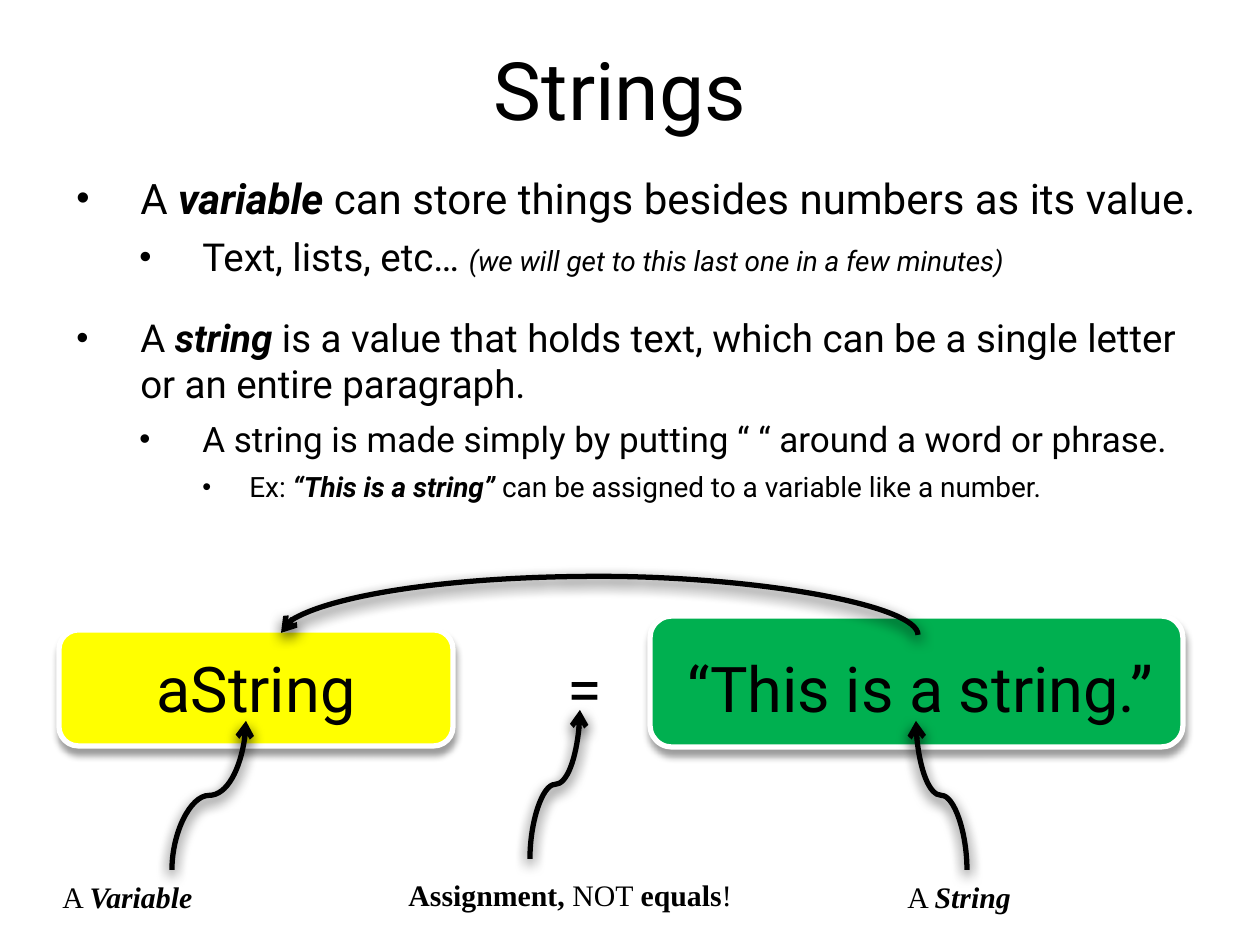
from lxml import etree
from pptx import Presentation
from pptx import util as u
from pptx.dml.color import RGBColor
from pptx.enum import shapes, text
from pptx.oxml.ns import qn

PX = 914400 / 126
COLORS = {"black": "000000", "white": "FFFFFF", "yellow": "FFFF00", "green": "00B050"}
SANS, SERIF = "Roboto", "Times New Roman"

# Each run is (text, size, style), with b for bold and i for italic.
TITLE = [("Strings ", 46, "")]
BULLETS = [  # level, runs
    (0, [("A ", 24, ""), ("variable ", 24, "bi"),
         ("can store things besides numbers as its value.", 24, "")]),
    (1, [("Text, lists, etc… ", 22, ""),
         ("(we will get to this last one in a few minutes)", 16, "i")]),
    (0, [("A ", 22, ""), ("string", 22, "bi"),
         (" is a value that holds text, which can be a single letter "
          "or an entire paragraph.", 22, "")]),
    (1, [("A string is made simply by putting “ “ around a word or phrase.", 20, "")]),
    (2, [("Ex: ", 16, ""), ("“This is a string” ", 16, "bi"),
         ("can be assigned to a variable like a number.", 16, "")]),
]
LEVELS = [(64, 64, 20), (126, 63, 6), (173, 47, 6)]  # margin px, hanging px, space before pt
BOXES = [((59, 630, 394, 116), "yellow"), ((650, 616, 533, 131), "green")]
EXPRESSION = [((455, 643, 260, 89), "="), ((59, 643, 394, 89), "aString"),
              ((675, 643, 491, 89), "“This is a string.”")]
LABELS = [  # the middle one is wide enough to stay on one line
    ((396, 871, 400, 49), [("Assignment,", 17, "b"), (" NOT ", 17, ""),
                           ("equals", 17, "b"), ("!", 17, "")]),
    ((50, 873, 343, 49), [("A ", 17, ""), ("Variable", 17, "bi")]),
    ((895, 873, 343, 49), [("A ", 17, ""), ("String", 17, "bi")]),
]
ARROWS = [  # start, end, bend as a share of the rise
    ((530, 859), (580, 710), 0.5),
    ((918, 635), (281, 633), 29.5),
    ((967, 870), (916, 721), 0.5),
    ((172, 870), (246, 721), 0.5),
]


def px(value):
    return u.Emu(round(value * PX))


def color(name):
    return RGBColor.from_string(COLORS[name])


def add_shadow(shape, alpha, blur, distance, angle):
    """Blur and distance are in points, alpha in percent, angle in degrees."""
    properties = shape._element.spPr
    for old in properties.findall(qn("a:effectLst")):
        properties.remove(old)
    effects = etree.SubElement(properties, qn("a:effectLst"))
    shadow = etree.SubElement(effects, qn("a:outerShdw"), blurRad=str(u.Pt(blur)),
                              dist=str(u.Pt(distance)), dir=str(angle * 60000),
                              algn="tl", rotWithShape="0")
    tone = etree.SubElement(shadow, qn("a:srgbClr"), val=COLORS["black"])
    etree.SubElement(tone, qn("a:alpha"), val=str(alpha * 1000))


def write(para, runs, font):
    for words, size, style in runs:
        span = para.add_run()
        span.text = words
        span.font.name = font
        span.font.size = u.Pt(size)
        span.font.bold = "b" in style
        span.font.italic = "i" in style
        span.font.color.rgb = color("black")


def add_text(page, place, runs, font=SANS, centred=False, grow=False):
    box = page.shapes.add_textbox(*map(px, place))
    frame = box.text_frame
    frame.word_wrap = True
    if grow:
        frame.auto_size = text.MSO_AUTO_SIZE.SHAPE_TO_FIT_TEXT
    if centred:
        frame.paragraphs[0].alignment = text.PP_ALIGN.CENTER
    write(frame.paragraphs[0], runs, font)
    return frame


def add_bullets(page):
    frame = add_text(page, (64, 166, 1157, 600), [])
    for index, (level, runs) in enumerate(BULLETS):
        para = frame.add_paragraph() if index else frame.paragraphs[0]
        margin, hanging, space = LEVELS[level]
        para.level = level
        para.space_before = u.Pt(space)
        settings = para._p.get_or_add_pPr()
        settings.set("marL", str(px(margin)))
        settings.set("indent", str(px(-hanging)))
        etree.SubElement(settings, qn("a:buSzPct"), val="90000")
        etree.SubElement(settings, qn("a:buFont"), typeface="Arial")
        etree.SubElement(settings, qn("a:buChar"), char="•")
        write(para, runs, SANS)


def add_box(page, place, fill):
    box = page.shapes.add_shape(shapes.MSO_SHAPE.ROUNDED_RECTANGLE, *map(px, place))
    box.fill.solid()
    box.fill.fore_color.rgb = color(fill)
    box.line.color.rgb = color("white")
    box.line.width = u.Pt(3)
    add_shadow(box, 38, 4, 4, 82)


def add_rising_arrow(page, start, end, bend):
    """A curved connector leaves and arrives vertically when turned a quarter."""
    (x1, y1), (x2, y2) = start, end
    rise, run = y1 - y2, abs(x2 - x1)
    left, top = (x1 + x2 - rise) / 2, (y1 + y2 - run) / 2
    arrow = page.shapes.add_connector(shapes.MSO_CONNECTOR.CURVE, px(left), px(top),
                                      px(left + rise), px(top + run))
    arrow.line.color.rgb = color("black")
    arrow.line.width = u.Pt(3)
    etree.SubElement(arrow.line._get_or_add_ln(), qn("a:tailEnd"), type="arrow")
    properties = arrow._element.spPr
    frame = properties.find(qn("a:xfrm"))
    frame.set("flipV", "1")
    if x2 > x1:
        frame.set("flipH", "1")
    frame.set("rot", str((90 if x2 > x1 else 270) * 60000))
    guides = properties.find(qn("a:prstGeom")).find(qn("a:avLst"))
    etree.SubElement(guides, qn("a:gd"), name="adj1", fmla=f"val {round(bend * 100000)}")
    add_shadow(arrow, 75, 8, 3, 90)


def main():
    deck = Presentation()
    deck.slide_width, deck.slide_height = px(1260), px(945)
    page = deck.slides.add_slide(deck.slide_layouts[6])
    title = add_text(page, (0, 28, 1260, 120), TITLE, centred=True)
    title.vertical_anchor = text.MSO_ANCHOR.MIDDLE
    add_bullets(page)
    for place, fill in BOXES:
        add_box(page, place, fill)
    for place, words in EXPRESSION:
        add_text(page, place, [(words, 36, "")], centred=True, grow=True)
    for arrow in ARROWS:
        add_rising_arrow(page, *arrow)
    for place, runs in LABELS:
        add_text(page, place, runs, font=SERIF, grow=True)
    deck.save("out.pptx")


if __name__ == "__main__":
    main()
